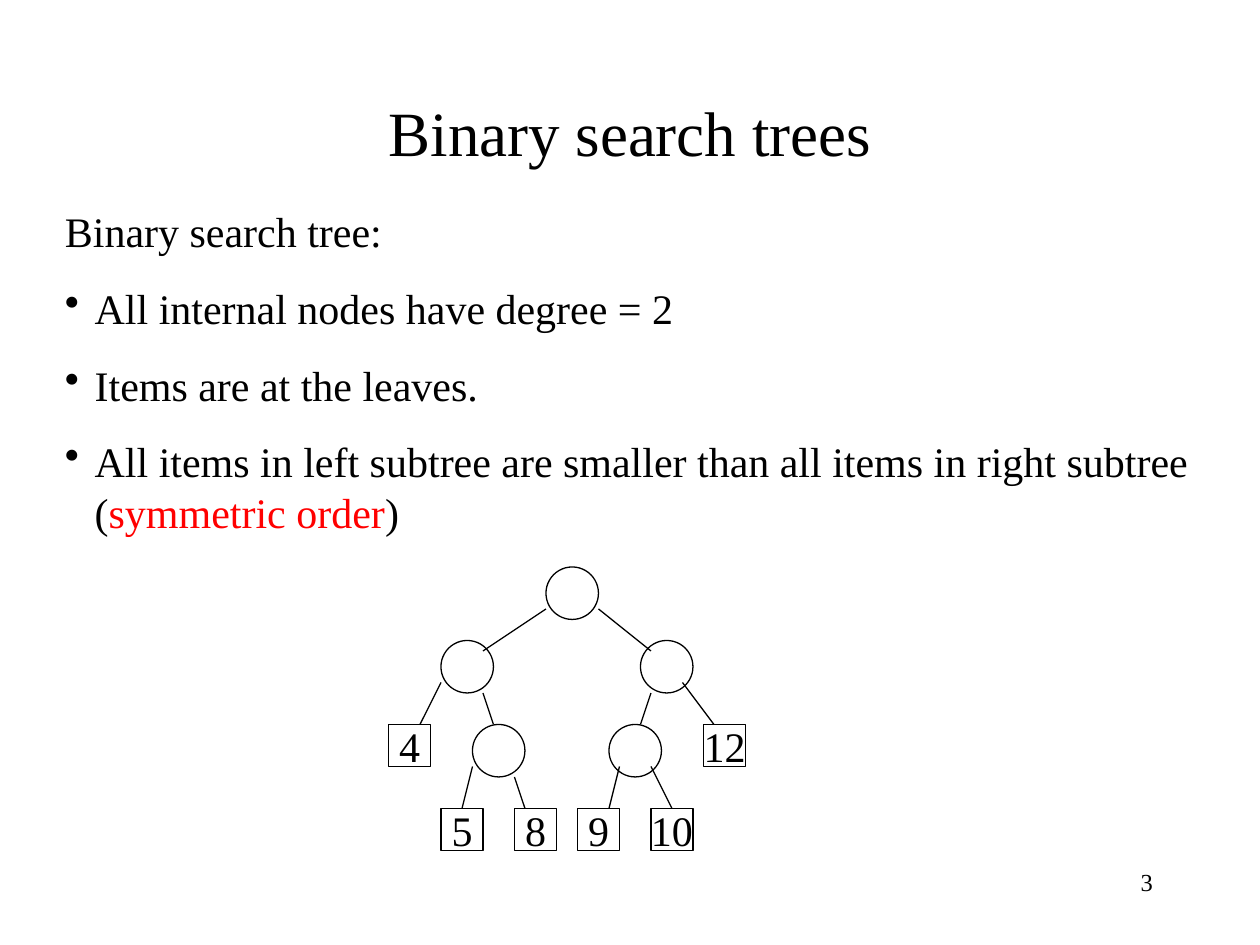
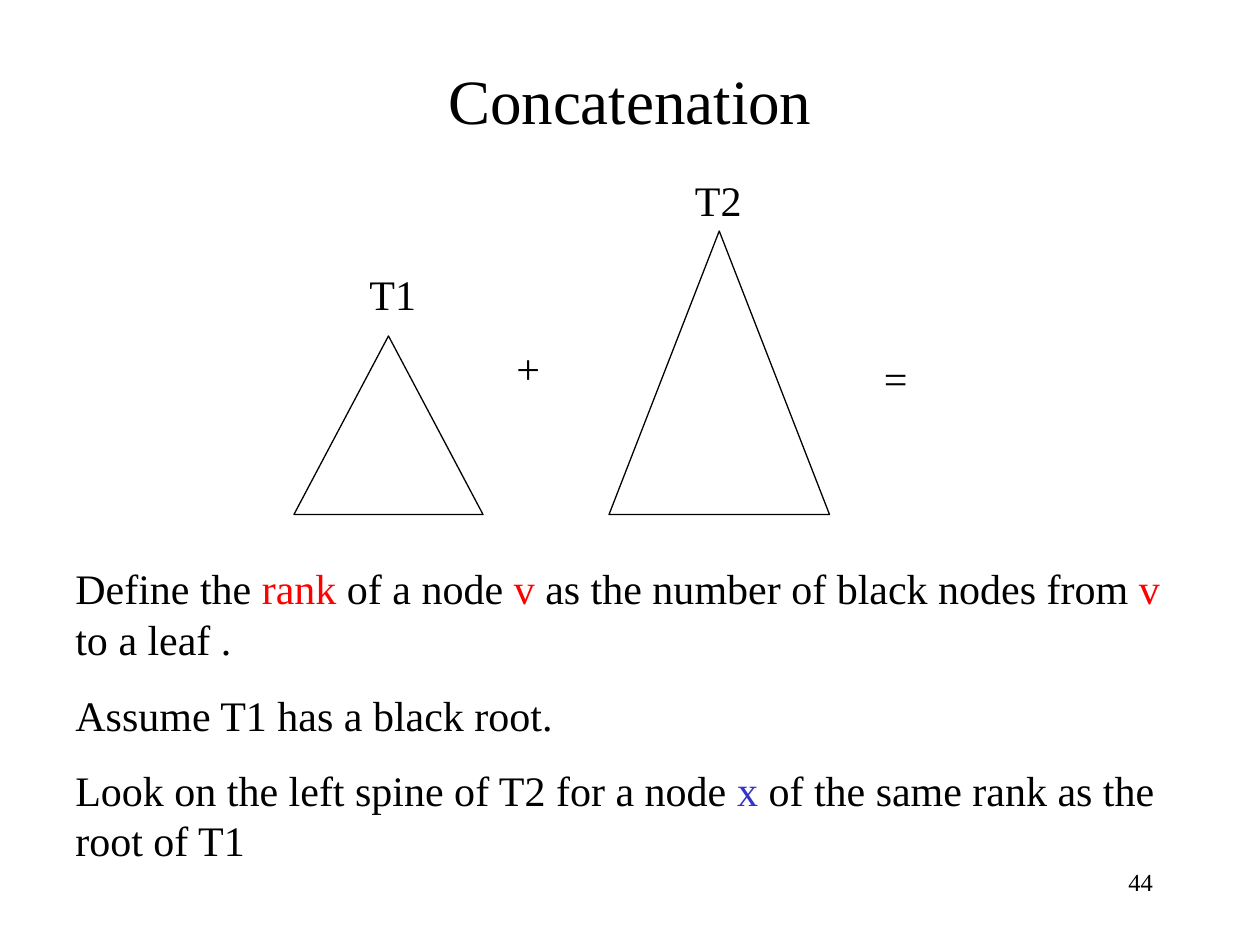
"""Two slides on search trees: the definition and concatenation."""
from lxml import etree
from pptx import Presentation
from pptx.dml.color import RGBColor
from pptx.enum.shapes import MSO_CONNECTOR, MSO_SHAPE
from pptx.enum.text import MSO_ANCHOR, MSO_AUTO_SIZE, PP_ALIGN
from pptx.oxml.ns import qn
from pptx.util import Cm, Pt

LEFT, CENTER, RIGHT = PP_ALIGN.LEFT, PP_ALIGN.CENTER, PP_ALIGN.RIGHT
TOP, MIDDLE = MSO_ANCHOR.TOP, MSO_ANCHOR.MIDDLE
OVAL, RECT, TRIANGLE = MSO_SHAPE.OVAL, MSO_SHAPE.RECTANGLE, MSO_SHAPE.ISOSCELES_TRIANGLE
STRAIGHT = MSO_CONNECTOR.STRAIGHT
NO_FIT = MSO_AUTO_SIZE.NONE

FONT = "Times New Roman"
COLORS = {"ink": "000000", "red": "FF0000", "blue": "3333CC"}
GRID = 2.54 / 12
NODE, LEAF = 5, 4

DEFINITION = [["Binary search tree:"]]
PROPERTIES = [
    ["All internal nodes have degree = 2"],
    ["Items are at the leaves."],
    ["All items in left subtree are smaller than all items in right subtree (",
     ("symmetric order", "red"), ")"],
]
NODES = [(52, 54), (42, 61), (61, 61), (58, 69), (45, 69)]
LEAVES = {"12": (67, 69), "10": (62, 77), "9": (55, 77),
          "8": (49, 77), "5": (42, 77), "4": (37, 69)}
EDGES = [
    ((52, 58), (46, 62)), ((57, 58), (62, 62)),
    ((62, 66), (61, 69)), ((65, 65), (68, 69)),
    ((46, 66), (47, 69)), ((42, 65), (40, 69)),
    ((62, 73), (64, 77)), ((59, 73), (58, 77)),
    ((49, 74), (50, 77)), ((45, 73), (44, 77)),
]

TREES = [(28, 32, 18, 17), (58, 22, 21, 27)]
LABELS = [("+", (48, 32, 9, 6)), ("=", (83, 33, 9, 6)),
          ("T1", (34, 25, 8, 6)), ("T2", (65, 16, 8, 6))]
RANK = [
    ["Define the ", ("rank", "red"), " of a node ", ("v", "red"),
     " as the number of black nodes from ", ("v", "red"), " to a leaf ."],
    ["Assume T1 has a black root."],
]
SPINE = [["Look on the left spine of T2 for a node ", ("x", "blue"),
          " of the same rank as the root of T1"]]


def grid(*values):
    """Turn grid steps into lengths."""
    return [Cm(v * GRID) for v in values]


def rgb(name):
    """Look up a colour."""
    return RGBColor.from_string(COLORS[name])


def add_bullet(p):
    """Give a paragraph a hanging bullet."""
    pPr = p._p.get_or_add_pPr()
    pPr.set("marL", str(Cm(0.6)))
    pPr.set("indent", str(-Cm(0.6)))
    etree.SubElement(pPr, qn("a:buChar"), char="•")


def write(sp, paragraphs, size=24, align=LEFT, anchor=TOP, wrap=True,
          leading=None, bullets_from=None):
    """Fill a shape with paragraphs of plain or coloured runs."""
    tf = sp.text_frame
    tf.word_wrap, tf.auto_size, tf.vertical_anchor = wrap, NO_FIT, anchor
    for i, parts in enumerate(paragraphs):
        p = tf.paragraphs[0] if i == 0 else tf.add_paragraph()
        p.alignment = align
        p.space_before = Pt(15 if i else 0)
        if leading:
            p.line_spacing = Pt(leading)
        if bullets_from is not None and i >= bullets_from:
            add_bullet(p)
        for part in parts:
            text, color = (part, "ink") if isinstance(part, str) else part
            r = p.add_run()
            r.text = text
            r.font.name, r.font.size = FONT, Pt(size)
            r.font.color.rgb = rgb(color)


def add_text(slide, box, paragraphs, **fmt):
    """Add a text box on the grid."""
    write(slide.shapes.add_textbox(*grid(*box)), paragraphs, **fmt)


def outline(line):
    """Set the thin dark line."""
    line.color.rgb = rgb("ink")
    line.width = Pt(0.75)


def add_outline(slide, kind, box):
    """Add an unfilled preset shape."""
    sp = slide.shapes.add_shape(kind, *grid(*box))
    sp.shadow.inherit = False
    sp.fill.background()
    outline(sp.line)
    return sp


def add_edge(slide, start, end, leaf_tops):
    """Draw a tree edge and join it to a leaf when it meets its top middle."""
    cn = slide.shapes.add_connector(STRAIGHT, *grid(*start, *end))
    outline(cn.line)
    etree.SubElement(cn._element.spPr, qn("a:effectLst"))
    if end in leaf_tops:
        cn.end_connect(leaf_tops[end], 0)


def add_slide(prs, title, top, number):
    """Add a slide with its title and page number."""
    slide = prs.slides.add_slide(prs.slide_layouts[5])
    sp = slide.shapes.title
    sp.left, sp.top, sp.width, sp.height = grid(9, top, 102, 15)
    write(sp, [[title]], size=36, align=CENTER, anchor=MIDDLE)
    add_text(slide, (86, 82, 25, 6), [[number]], size=14, align=RIGHT)
    return slide


def build_search_trees(prs):
    """Build the definition slide with its tree."""
    slide = add_slide(prs, "Binary search trees", 5, "3")
    add_text(slide, (5, 19, 110, 33), DEFINITION + PROPERTIES,
             leading=28.8, bullets_from=len(DEFINITION))
    for x, y in NODES:
        add_outline(slide, OVAL, (x, y, NODE, NODE))
    leaf_tops = {}
    for item, (x, y) in LEAVES.items():
        sp = add_outline(slide, RECT, (x, y, LEAF, LEAF))
        write(sp, [[item]], align=CENTER, anchor=MIDDLE, wrap=False)
        leaf_tops[x + LEAF / 2, y] = sp
    for start, end in EDGES:
        add_edge(slide, start, end, leaf_tops)


def build_concatenation(prs):
    """Build the slide that joins two trees."""
    slide = add_slide(prs, "Concatenation", 2, "44")
    for box in TREES:
        add_outline(slide, TRIANGLE, box)
    for text, box in LABELS:
        add_text(slide, box, [[text]], leading=28.8)
    add_text(slide, (6, 53, 107, 18), RANK, leading=28.8)
    add_text(slide, (6, 72.2, 107, 10.8), SPINE, leading=28.8)


def main():
    """Build and save the presentation."""
    prs = Presentation()
    prs.slide_width, prs.slide_height = Cm(25.4), Cm(19.05)
    build_search_trees(prs)
    build_concatenation(prs)
    prs.save("out.pptx")


if __name__ == "__main__":
    main()
